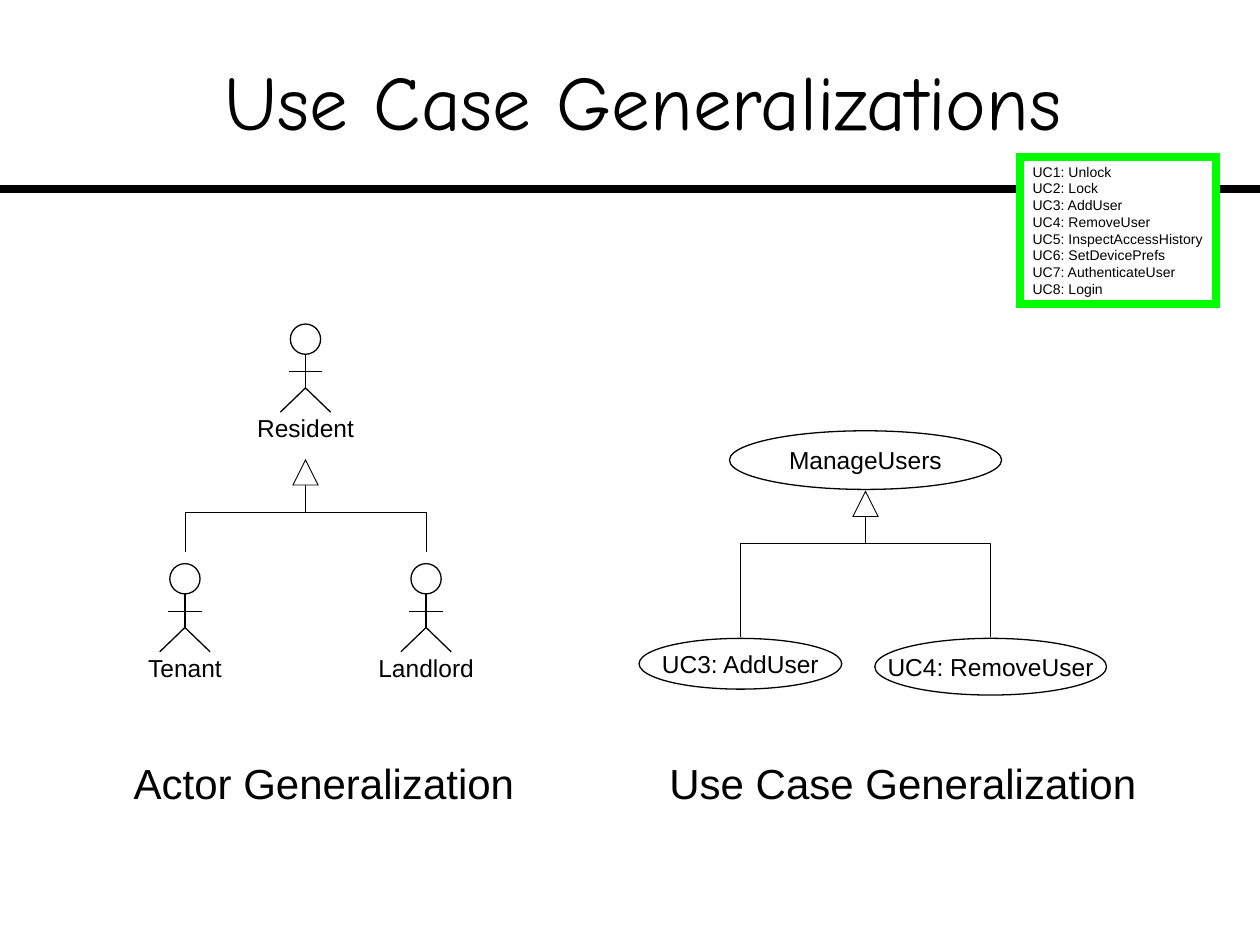
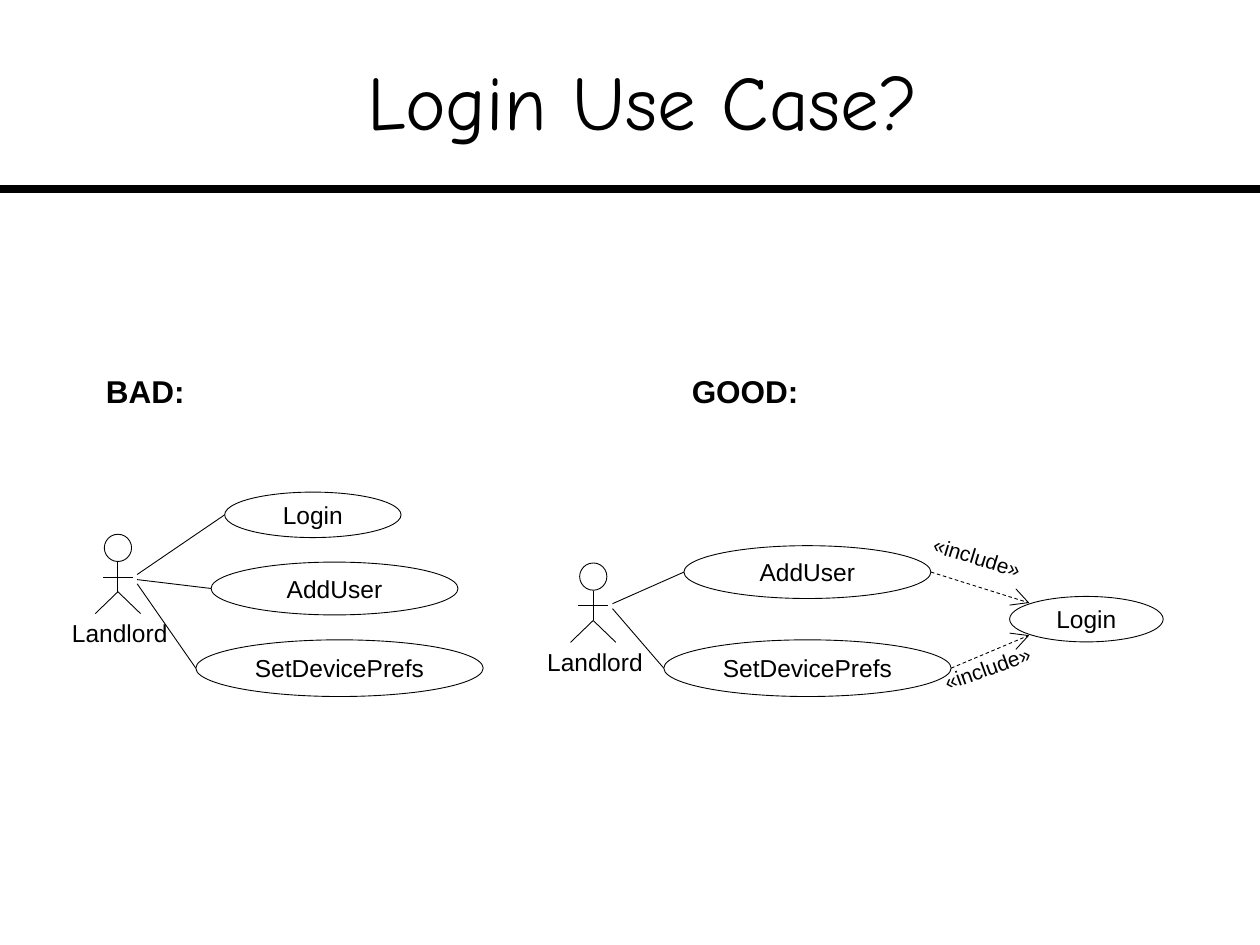
from dataclasses import dataclass
from typing import NamedTuple

from lxml.etree import SubElement
from pptx import Presentation
from pptx.dml.color import RGBColor
from pptx.enum.dml import MSO_LINE
from pptx.enum.shapes import MSO_CONNECTOR, MSO_SHAPE
from pptx.enum.text import MSO_ANCHOR, MSO_AUTO_SIZE, PP_ALIGN
from pptx.oxml.ns import qn
from pptx.shapes.autoshape import Shape
from pptx.slide import Slide
from pptx.util import Pt


@dataclass(frozen=True)
class Theme:
    ink: RGBColor = RGBColor(0, 0, 0)
    paper: RGBColor = RGBColor(255, 255, 255)
    legend_border: RGBColor = RGBColor(0, 255, 0)
    title_font: str = "Comic Neue"
    body_font: str = "Arial"
    title_size: float = 44
    caption_size: float = 24
    heading_size: float = 18
    label_size: float = 14
    include_size: float = 12
    legend_size: float = 8
    heavy: float = 4.5
    medium: float = 0.75
    thin: float = 0.5


THEME = Theme()
SLIDE_WIDTH, SLIDE_HEIGHT = 720, 540
LABEL_INSETS = (0.72, 0)


class Point(NamedTuple):
    x: float
    y: float


class Box(NamedTuple):
    left: float
    top: float
    width: float
    height: float


@dataclass(frozen=True)
class Actor:
    name: str
    center_x: float
    top: float
    scale: float = 1
    stroke: float = THEME.medium
    label_shift: Point = Point(0, 0.4)


@dataclass(frozen=True)
class UseCase:
    name: str
    center_x: float
    top: float
    width: float
    height: float
    stroke: float = THEME.thin

    @property
    def box(self) -> Box:
        return Box(self.center_x - self.width / 2, self.top, self.width, self.height)

    @property
    def left_end(self) -> Point:
        return Point(self.center_x - self.width / 2, self.top + self.height / 2)

    @property
    def right_end(self) -> Point:
        return Point(self.center_x + self.width / 2, self.top + self.height / 2)


@dataclass(frozen=True)
class Generalization:
    """A parent arrow whose bar spreads evenly to two children."""
    center_x: float
    top: float
    half_spread: float
    bottom: float


@dataclass(frozen=True)
class Include:
    """A dashed arrow; side is -1 above the included use case and 1 below."""
    source: UseCase
    side: int
    label_center: Point
    rotation: float


def write(shape: Shape, lines: list[str], size: float, font: str = THEME.body_font,
          align: PP_ALIGN = PP_ALIGN.CENTER, anchor: MSO_ANCHOR = MSO_ANCHOR.TOP,
          insets: tuple[float, float] = LABEL_INSETS, wrap: bool = False,
          bold: bool = False) -> None:
    frame = shape.text_frame
    frame.word_wrap = wrap
    frame.vertical_anchor = anchor
    frame.margin_left = frame.margin_right = Pt(insets[0])
    frame.margin_top = frame.margin_bottom = Pt(insets[1])
    for index, line in enumerate(lines):
        paragraph = frame.paragraphs[0] if index == 0 else frame.add_paragraph()
        paragraph.text = line
        paragraph.alignment = align
        paragraph.font.name = font
        paragraph.font.size = Pt(size)
        paragraph.font.bold = bold
        paragraph.font.color.rgb = THEME.ink


def add_label(slide: Slide, text: str, box: Box, size: float, **style) -> Shape:
    label = slide.shapes.add_textbox(*map(Pt, box))
    write(label, [text], size, **style)
    if not label.text_frame.word_wrap:
        label.text_frame.auto_size = MSO_AUTO_SIZE.SHAPE_TO_FIT_TEXT
    return label


def add_outlined(slide: Slide, kind: MSO_SHAPE, box: Box, stroke: float,
                 border: RGBColor = THEME.ink, filled: bool = True) -> Shape:
    shape = slide.shapes.add_shape(kind, *map(Pt, box))
    shape.shadow.inherit = False
    if filled:
        shape.fill.solid()
        shape.fill.fore_color.rgb = THEME.paper
    else:
        shape.fill.background()
    shape.line.color.rgb = border
    shape.line.width = Pt(stroke)
    SubElement(shape.line._get_or_add_ln(), qn("a:miter"), lim="800000")
    return shape


def add_line(slide: Slide, start: Point, end: Point, stroke: float = THEME.thin,
             dashed: bool = False) -> None:
    line = slide.shapes.add_connector(MSO_CONNECTOR.STRAIGHT, *map(Pt, (*start, *end)))
    line.line.color.rgb = THEME.ink
    line.line.width = Pt(stroke)
    if dashed:
        line.line.dash_style = MSO_LINE.DASH
    SubElement(line._element.spPr, qn("a:effectLst"))


def add_polyline(slide: Slide, points: list[Point], stroke: float) -> None:
    corners = [(Pt(x), Pt(y)) for x, y in points]
    builder = slide.shapes.build_freeform(*corners[0])
    builder.add_line_segments(corners[1:], close=False)
    outline = builder.convert_to_shape()
    outline.shadow.inherit = False
    outline.fill.background()
    outline.line.color.rgb = THEME.ink
    outline.line.width = Pt(stroke)


def add_titled_slide(deck: Presentation, title: str) -> Slide:
    slide = deck.slides.add_slide(deck.slide_layouts[6])
    add_line(slide, Point(0, 108), Point(SLIDE_WIDTH, 108), THEME.heavy)
    add_label(slide, title, Box(30, 12.2, 675, 90), THEME.title_size,
              font=THEME.title_font, anchor=MSO_ANCHOR.MIDDLE, insets=(0, 3.6), wrap=True)
    return slide


def add_actor(slide: Slide, actor: Actor) -> None:
    x, scale = actor.center_x, actor.scale

    def at(dx: float, dy: float) -> Point:
        return Point(x + dx * scale, actor.top + dy * scale)

    head = 17.3 * scale
    add_outlined(slide, MSO_SHAPE.OVAL, Box(x - head / 2, actor.top, head, head),
                 actor.stroke, filled=False)
    add_line(slide, at(0, 17.6), at(0, 36.5), actor.stroke)
    add_line(slide, at(-9.6, 27.3), at(9.6, 27.3), actor.stroke)
    add_polyline(slide, [at(-14.4, 50.4), at(0, 36.5), at(14.4, 50.4)], actor.stroke)
    label_width = 7.5 * len(actor.name)
    label_left = x - label_width / 2 + actor.label_shift.x
    label_top = at(0, 50.4).y + actor.label_shift.y
    add_label(slide, actor.name, Box(label_left, label_top, label_width, 16.6),
              THEME.label_size)


def add_use_case(slide: Slide, use_case: UseCase) -> None:
    oval = add_outlined(slide, MSO_SHAPE.OVAL, use_case.box, use_case.stroke)
    write(oval, [use_case.name], THEME.label_size, anchor=MSO_ANCHOR.MIDDLE, insets=(0, 0))


def add_generalization(slide: Slide, tree: Generalization) -> None:
    x, arrow = tree.center_x, 14.4
    left, right = x - tree.half_spread, x + tree.half_spread
    bar = tree.top + 30
    add_polyline(slide, [
        Point(left, tree.bottom), Point(left, bar), Point(x, bar), Point(x, tree.top + arrow),
        Point(x, bar), Point(right, bar), Point(right, tree.bottom),
    ], THEME.thin)
    add_outlined(slide, MSO_SHAPE.ISOSCELES_TRIANGLE,
                 Box(x - arrow / 2, tree.top, arrow, arrow), THEME.thin)


def add_include(slide: Slide, include: Include, target: UseCase) -> None:
    side = include.side
    tip = Point(target.left_end.x + 10.8, target.left_end.y + 9.4 * side)
    add_line(slide, include.source.right_end, tip, dashed=True)
    add_polyline(slide, [Point(tip.x - 7.2, tip.y + 7.9 * side), tip,
                         Point(tip.x - 10.8, tip.y - 1.4 * side)], THEME.thin)
    center, width, height = include.label_center, 54, 14.4
    label = add_label(slide, "«include»",
                      Box(center.x - width / 2, center.y - height / 2, width, height),
                      THEME.include_size)
    label.rotation = include.rotation


def build_generalizations(deck: Presentation) -> None:
    slide = add_titled_slide(deck, "Use Case Generalizations")

    actor_tree = Generalization(174.6, 262.8, 68.9, 315.6)
    tenant_x = actor_tree.center_x - actor_tree.half_spread
    landlord_x = actor_tree.center_x + actor_tree.half_spread
    add_generalization(slide, actor_tree)
    for actor in (Actor("Resident", actor_tree.center_x, 185.2),
                  Actor("Tenant", tenant_x, 322.1),
                  Actor("Landlord", landlord_x, 322.1)):
        add_actor(slide, actor)

    case_tree = Generalization(494.6, 280.8, 71.5, 363.8)
    add_user_x = case_tree.center_x - case_tree.half_spread
    remove_user_x = case_tree.center_x + case_tree.half_spread
    for use_case in (
        UseCase("ManageUsers", case_tree.center_x, 246.2, 155.5, 33.5, THEME.medium),
        UseCase("UC4: RemoveUser", remove_user_x, 364.8, 132.4, 32.4, THEME.medium),
        UseCase("UC3: AddUser", add_user_x, 364.8, 115.8, 29, THEME.medium),
    ):
        add_use_case(slide, use_case)
    add_generalization(slide, case_tree)

    for caption, left, width in (("Actor Generalization", 75.6, 219),
                                 ("Use Case Generalization", 381.6, 268.6)):
        add_label(slide, caption, Box(left, 432.7, width, 28.8), THEME.caption_size)

    names = ("Unlock", "Lock", "AddUser", "RemoveUser", "InspectAccessHistory",
             "SetDevicePrefs", "AuthenticateUser", "Login")
    legend = add_outlined(slide, MSO_SHAPE.RECTANGLE, Box(583, 89.7, 111.8, 84),
                          THEME.heavy, THEME.legend_border)
    write(legend, [f"UC{number}: {name}" for number, name in enumerate(names, 1)],
          THEME.legend_size, align=PP_ALIGN.LEFT, insets=(7.2, 3.6))


def build_login(deck: Presentation) -> None:
    slide = add_titled_slide(deck, "Login Use Case?")
    for heading, left, width in (("BAD:", 59.8, 46.8), ("GOOD:", 394.6, 62.6)):
        add_label(slide, heading, Box(left, 212.4, width, 21.6), THEME.heading_size,
                  align=PP_ALIGN.LEFT, bold=True)

    label_shift = Point(1, 2.6)
    bad_landlord = Actor("Landlord", 67.4, 305.3, 0.9, THEME.thin, label_shift)
    bad_login = UseCase("Login", 178.8, 281.2, 100.8, 26)
    bad_add_user = UseCase("AddUser", 191.2, 321.2, 141.1, 30.2)
    bad_prefs = UseCase("SetDevicePrefs", 194, 365.6, 164.2, 32.4)

    good_landlord = Actor("Landlord", 339, 321.7, 0.9, THEME.thin, label_shift)
    good_add_user = UseCase("AddUser", 461.4, 311.8, 141.1, 30.2)
    good_prefs = UseCase("SetDevicePrefs", 461.4, 365.6, 164.2, 32.4)
    good_login = UseCase("Login", 620.8, 340.8, 87.8, 26)

    for include in (Include(good_prefs, 1, Point(564.2, 381.6), -20),
                    Include(good_add_user, -1, Point(558.4, 318.2), 17)):
        add_include(slide, include, good_login)

    hand_reach = 11
    for landlord, links, others in (
        (bad_landlord, ((bad_login, 328.3), (bad_add_user, 331.2), (bad_prefs, 333.6)), ()),
        (good_landlord, ((good_add_user, 345), (good_prefs, 347.8)), (good_login,)),
    ):
        add_actor(slide, landlord)
        for use_case, hand_y in links:
            add_line(slide, Point(landlord.center_x + hand_reach, hand_y), use_case.left_end)
            add_use_case(slide, use_case)
        for use_case in others:
            add_use_case(slide, use_case)


def main() -> None:
    deck = Presentation()
    deck.slide_width, deck.slide_height = Pt(SLIDE_WIDTH), Pt(SLIDE_HEIGHT)
    build_generalizations(deck)
    build_login(deck)
    deck.save("out.pptx")


if __name__ == "__main__":
    main()
